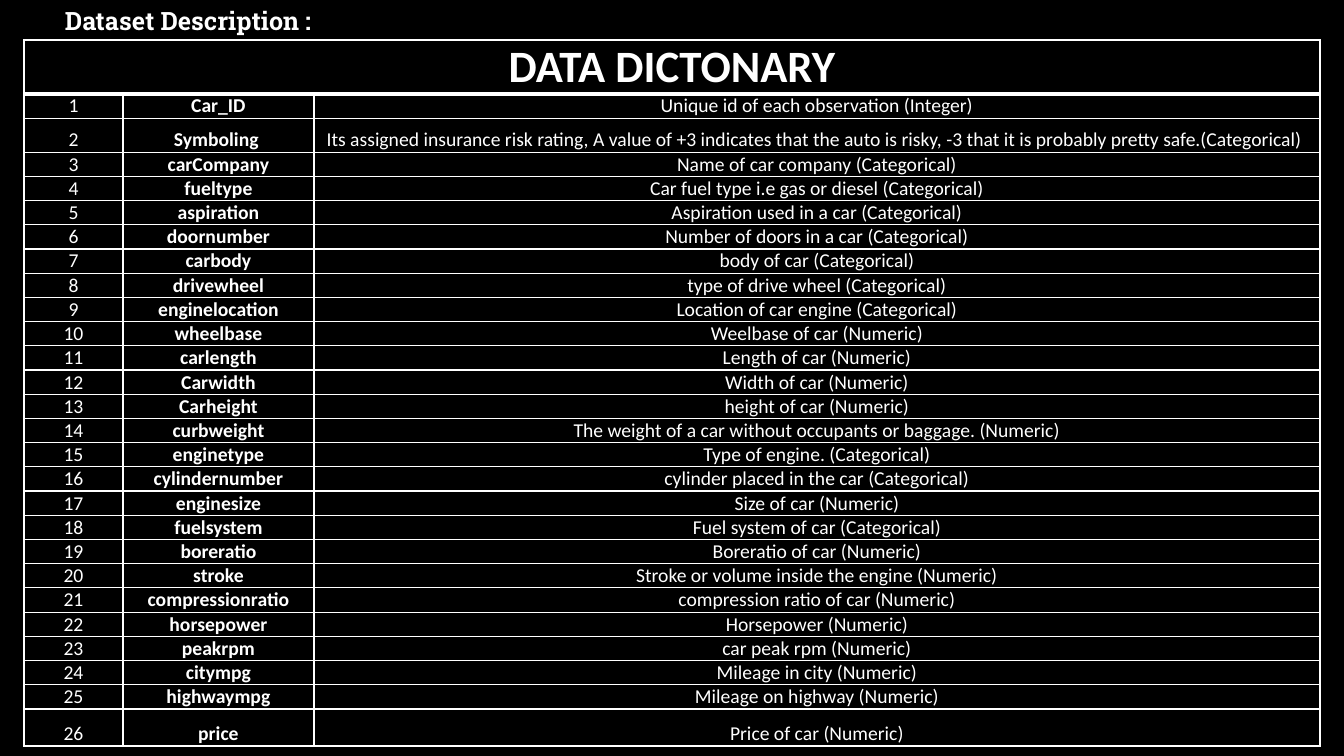
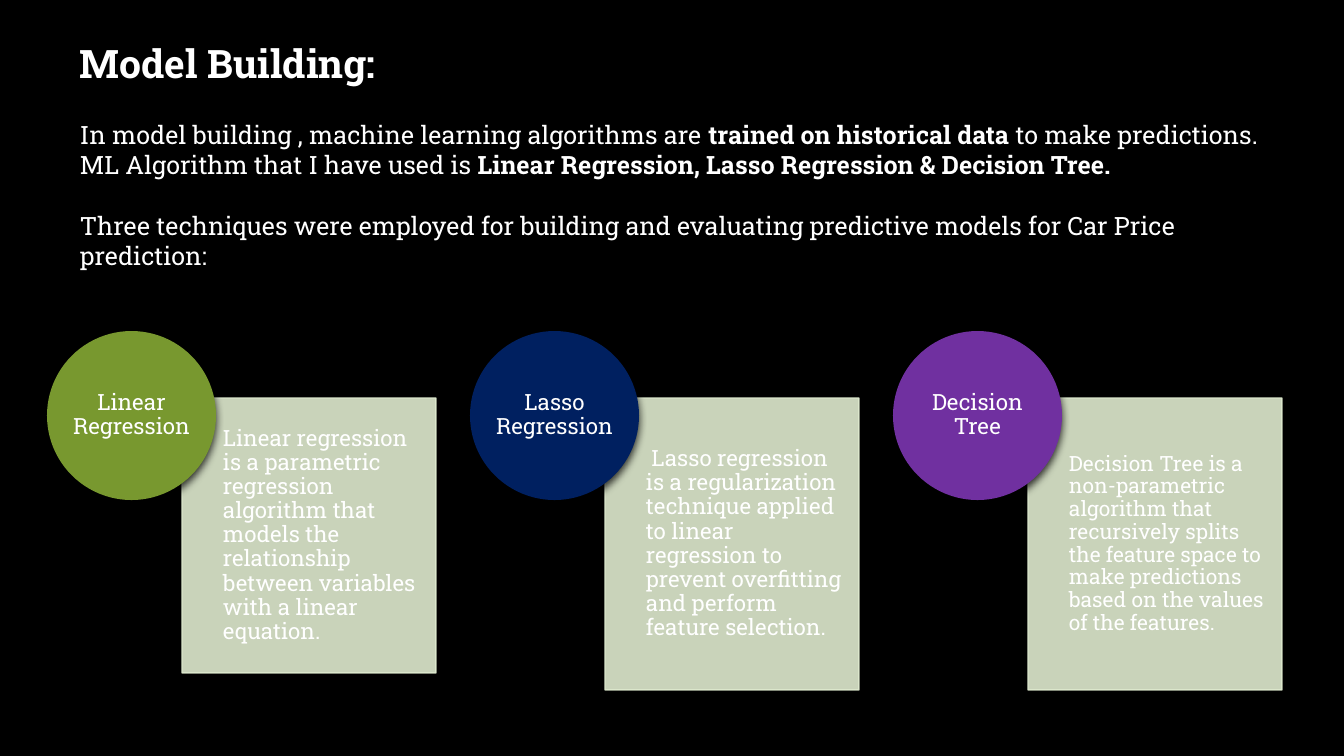
import pptx
import pptx.util
import pptx.dml.color
import pptx.enum.shapes
import pptx.enum.text
import pptx.oxml
import pptx.oxml.ns
from lxml import etree

PX = 12192000 / 1344  # EMU per px
COLORS = {
    "background": "000000",
    "text": "FFFFFF",
    "panel": "DFEACF",
    "linear": "78982F",
    "lasso": "002060",
    "tree": "7030A0",
}
SLAB = "Roboto Slab"
TABLE_FONT = "Calibri"
ALIGN = pptx.enum.text.PP_ALIGN
ANCHOR = pptx.enum.text.MSO_ANCHOR
SHAPE = pptx.enum.shapes.MSO_SHAPE

FIELDS = [
    ("Car_ID", "Unique id of each observation (Integer)"),
    ("Symboling ", "Its assigned insurance risk rating, A value of +3 indicates that the auto "
                   "is risky, -3 that it is probably pretty safe.(Categorical) "),
    ("carCompany", "Name of car company (Categorical)"),
    ("fueltype", "Car fuel type i.e gas or diesel (Categorical)"),
    ("aspiration", "Aspiration used in a car (Categorical)"),
    ("doornumber", "Number of doors in a car (Categorical)"),
    ("carbody", "body of car (Categorical)"),
    ("drivewheel", "type of drive wheel (Categorical)"),
    ("enginelocation", "Location of car engine (Categorical)"),
    ("wheelbase", "Weelbase of car (Numeric)"),
    ("carlength", "Length of car (Numeric)"),
    ("Carwidth", "Width of car (Numeric)"),
    ("Carheight", "height of car (Numeric)"),
    ("curbweight", "The weight of a car without occupants or baggage. (Numeric)"),
    ("enginetype", "Type of engine. (Categorical)"),
    ("cylindernumber", "cylinder placed in the car (Categorical)"),
    ("enginesize", "Size of car (Numeric)"),
    ("fuelsystem", "Fuel system of car (Categorical)"),
    ("boreratio", "Boreratio of car (Numeric)"),
    ("stroke", "Stroke or volume inside the engine (Numeric)"),
    ("compressionratio", "compression ratio of car (Numeric)"),
    ("horsepower", "Horsepower (Numeric)"),
    ("peakrpm", "car peak rpm (Numeric)"),
    ("citympg", "Mileage in city (Numeric)"),
    ("highwaympg", "Mileage on highway (Numeric)"),
    ("price", "Price of car (Numeric)"),
]

# circle label, circle colour, panel height, text size, text
TECHNIQUES = [
    ("Linear Regression ", "linear", 275, 16,
     "Linear regression is a parametric regression algorithm that models the "
     "relationship between variables with a linear equation."),
    ("Lasso Regression", "lasso", 292, 16,
     " Lasso regression is a regularization technique applied to linear regression "
     "to prevent overfitting and perform feature selection."),
    ("Decision Tree", "tree", 292, 15,
     "Decision Tree is a non-parametric algorithm that recursively splits the feature "
     "space to make predictions based on the values of the features."),
]


def px(n):
    return pptx.util.Emu(round(n * PX))


def rgb(name):
    return pptx.dml.color.RGBColor.from_string(COLORS[name])


def sub(parent, tag, **attrs):
    """Append a DrawingML child element with the given attributes."""
    el = etree.SubElement(parent, pptx.oxml.ns.qn(tag))
    for key, value in attrs.items():
        el.set(key, str(value))
    return el


def add_run(p, text, size, bold=False, font=SLAB):
    r = p.add_run()
    r.text = text
    r.font.name = font
    r.font.size = pptx.util.Pt(size)
    r.font.bold = bold
    r.font.color.rgb = rgb("text")


def add_slide(prs):
    s = prs.slides.add_slide(prs.slide_layouts[6])
    s.background.fill.solid()
    s.background.fill.fore_color.rgb = rgb("background")
    return s


def add_text(s, box, paragraphs, size):
    """Add a wrapped text box; each paragraph is (space before, [(text, bold)])."""
    tf = s.shapes.add_textbox(*map(px, box)).text_frame
    tf.word_wrap = True
    for i, (space, runs) in enumerate(paragraphs):
        p = tf.paragraphs[0] if i == 0 else tf.add_paragraph()
        p.space_before = pptx.util.Pt(space)
        for text, bold in runs:
            add_run(p, text, size, bold)


def add_title(s, box, text, size):
    add_text(s, box, [(0, [(text, True)])], size)


def set_borders(cell, top=1, bottom=1):
    tcPr = cell._tc.get_or_add_tcPr()
    widths = {"a:lnL": 1, "a:lnR": 1, "a:lnT": top, "a:lnB": bottom}
    for i, (tag, width) in enumerate(widths.items()):
        ln = sub(tcPr, tag, w=pptx.util.Pt(width))
        sub(sub(ln, "a:solidFill"), "a:srgbClr", val=COLORS["text"])
        tcPr.insert(i, ln)


def fill_cell(cell, text, size, bold, anchor):
    cell.margin_left = cell.margin_right = px(1)
    cell.margin_top = cell.margin_bottom = 0
    cell.vertical_anchor = anchor
    p = cell.text_frame.paragraphs[0]
    p.alignment = ALIGN.CENTER
    add_run(p, text, size, bold, TABLE_FONT)


def add_dictionary(s, left, top, height):
    col_widths = [99, 191, 1006]
    tall_rows = {0: 54, 2: 34, len(FIELDS): 37}
    row_count = len(FIELDS) + 1
    plain_row = (height - sum(tall_rows.values())) / (row_count - len(tall_rows))
    frame = s.shapes.add_table(row_count, len(col_widths), px(left), px(top),
                               px(sum(col_widths)), px(height))
    table = frame.table
    table.first_row = table.horz_banding = False
    for col, width in zip(table.columns, col_widths):
        col.width = px(width)
    for i, row in enumerate(table.rows):
        row.height = px(tall_rows.get(i, plain_row))
        for cell in row.cells:
            cell.fill.solid()
            cell.fill.fore_color.rgb = rgb("background")
            set_borders(cell, top=3 if i == 1 else 1, bottom=3 if i == 0 else 1)

    heading = table.cell(0, 0)
    heading.merge(table.cell(0, len(col_widths) - 1))
    fill_cell(heading, "DATA DICTONARY", 32, True, ANCHOR.MIDDLE)
    for i, (name, meaning) in enumerate(FIELDS, 1):
        for j, text in enumerate((str(i), name, meaning)):
            fill_cell(table.cell(i, j), text, 14, j == 1, ANCHOR.BOTTOM)


def add_shadow(sp, blur, alpha):
    sp.shadow.inherit = False
    effects = sp._element.spPr.find(pptx.oxml.ns.qn("a:effectLst"))
    shadow = sub(effects, "a:outerShdw", blurRad=pptx.util.Pt(blur), dist=pptx.util.Pt(3),
                 dir=90 * 60000, algn="ctr", rotWithShape=0)
    sub(sub(shadow, "a:srgbClr", val="000000"), "a:alpha", val=alpha * 1000)


def add_label_shape(s, kind, box, color, text, size, align, margins):
    """Add a filled shape with text; margins are left, top, right, bottom."""
    sp = s.shapes.add_shape(kind, *map(px, box))
    sp.fill.solid()
    sp.fill.fore_color.rgb = rgb(color)
    sp.line.fill.background()
    tf = sp.text_frame
    tf.word_wrap = True
    tf.vertical_anchor = ANCHOR.MIDDLE
    tf.margin_left, tf.margin_top, tf.margin_right, tf.margin_bottom = map(px, margins)
    p = tf.paragraphs[0]
    p.alignment = align
    p.line_spacing = 0.9
    add_run(p, text, size)
    return sp


def add_technique(s, left, label, color, height, size, text):
    panel = add_label_shape(s, SHAPE.RECTANGLE, (left + 135, 398, 254, height), "panel",
                            text, size, ALIGN.LEFT, (41, 12, 12, 12))
    panel.line.color.rgb = rgb("panel")
    panel.line.width = pptx.util.Pt(1)
    for clr in panel._element.spPr.iter(pptx.oxml.ns.qn("a:srgbClr")):
        sub(clr, "a:alpha", val=90000)
    add_shadow(panel, 4, 54)
    circle = add_label_shape(s, SHAPE.OVAL, (left, 331, 169, 169), color,
                             label, 16, ALIGN.CENTER, (0, 0, 0, 0))
    add_shadow(circle, 6, 76)


def add_dataset_slide(prs):
    s = add_slide(prs)
    add_title(s, (55, 0, 672, 40), "Dataset Description :", 18)
    add_dictionary(s, 24, 40, 706)


def add_model_slide(prs):
    s = add_slide(prs)
    add_title(s, (70, 34, 672, 57), "Model Building:", 28)
    add_text(s, (70, 114, 1223, 163), [
        (0, [("In model building , machine learning algorithms are ", False),
             ("trained on historical data", True),
             (" to make predictions.", False)]),
        (0, [("ML Algorithm that I have used is ", False),
             ("Linear Regression, Lasso Regression & Decision Tree.", True)]),
        (22, [("Three techniques were employed for building and evaluating predictive "
               "models for Car Price prediction:", False)]),
    ], 18)
    for i, technique in enumerate(TECHNIQUES):
        add_technique(s, 47 + 423 * i, *technique)


def main():
    prs = pptx.Presentation()
    prs.slide_width, prs.slide_height = px(1344), px(756)
    add_dataset_slide(prs)
    add_model_slide(prs)
    prs.save("out.pptx")


if __name__ == "__main__":
    main()
